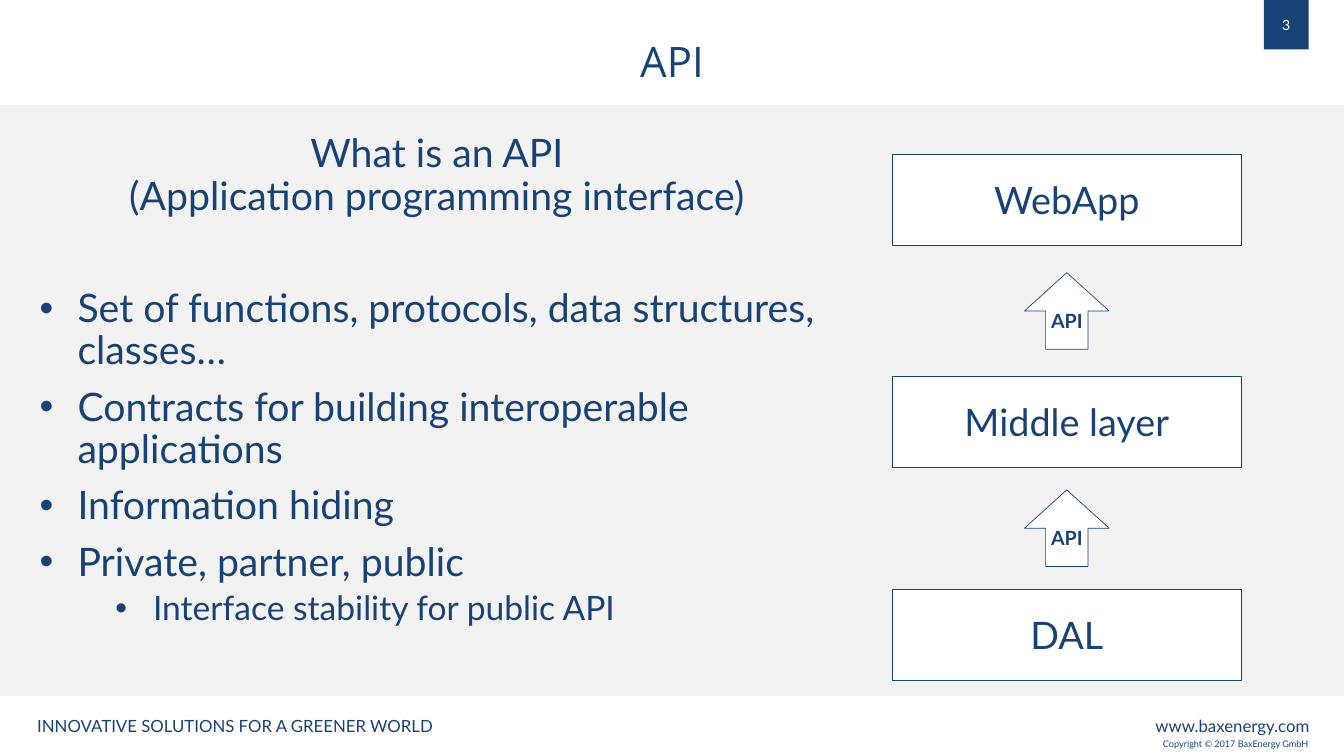
"""Build the API slide: a bulleted definition beside a stack of application layers."""
from dataclasses import dataclass
from typing import NamedTuple

import lxml.etree
import pptx
import pptx.dml.color
import pptx.enum.shapes
import pptx.enum.text
import pptx.oxml.ns
import pptx.util

ALIGN = pptx.enum.text.PP_ALIGN
MIDDLE = pptx.enum.text.MSO_ANCHOR.MIDDLE
SHAPE = pptx.enum.shapes.MSO_SHAPE
PIXELS_PER_INCH = 100


@dataclass(frozen=True)
class Theme:
    """Colours, fonts and type sizes."""
    navy: str = "194274"
    white: str = "FFFFFF"
    backdrop: str = "F2F2F2"
    font: str = "Lato"
    title_font: str = "Open Sans"
    title: int = 60
    body: int = 56
    sub_body: int = 48
    layer: int = 54
    arrow: int = 28
    footer: int = 24
    number: int = 20
    copyright: int = 13
    body_spacing: float = 0.9


class Box(NamedTuple):
    """Position and size in px."""
    left: int
    top: int
    width: int
    height: int


class Label(NamedTuple):
    """A single-paragraph text and its placement."""
    text: str
    box: Box
    size: int
    align: ALIGN
    color: str


class Point(NamedTuple):
    """A body paragraph; a zero indent means no bullet."""
    text: str
    indent: int
    space_before: int
    size: int
    level: int = 0


THEME = Theme()
SLIDE_WIDTH, SLIDE_HEIGHT = 2667, 1500
TITLE_BOX = Box(0, 0, SLIDE_WIDTH, 252)
BODY_BOX = Box(69, 261, 1596, 1088)
BULLET_HANG = 75
NUMBER_TAB = Box(2508, 0, 89, 98)
BANDS = (
    (Box(0, 0, SLIDE_WIDTH, 208), THEME.white),
    (Box(0, 1381, SLIDE_WIDTH, 119), THEME.white),
    (NUMBER_TAB, THEME.navy),
)
LABELS = (
    Label("www.baxenergy.com", Box(2263, 1415, 345, 50), THEME.footer, ALIGN.RIGHT, THEME.navy),
    Label("INNOVATIVE SOLUTIONS FOR A GREENER WORLD", Box(64, 1416, 820, 50),
          THEME.footer, ALIGN.LEFT, THEME.navy),
    Label("Copyright © 2017 BaxEnergy GmbH", Box(2298, 1461, 369, 32),
          THEME.copyright, ALIGN.LEFT, THEME.navy),
    Label("3", Box(2508, 27, 89, 44), THEME.number, ALIGN.CENTER, THEME.white),
)
POINTS = (
    Point("What is an API\v(Application programming interface)", 0, 0, THEME.body),
    Point("Set of functions, protocols, data structures, classes…", 75, 100, THEME.body),
    Point("Contracts for building interoperable applications", 75, 20, THEME.body),
    Point("Information hiding", 75, 20, THEME.body),
    Point("Private, partner, public", 75, 20, THEME.body),
    Point("Interface stability for public API", 225, 10, THEME.sub_body, 1),
)
LAYERS = (("WebApp", 306), ("Middle layer", 747), ("DAL", 1169))
ARROW_TOPS = (541, 972)


def px(length: int) -> int:
    """Turn px into EMU."""
    return pptx.util.Emu(length * pptx.util.Inches(1) // PIXELS_PER_INCH)


def rgb(color: str) -> pptx.dml.color.RGBColor:
    """Read a hexadecimal colour."""
    return pptx.dml.color.RGBColor.from_string(color)


def format_paragraph(paragraph, size: int, align: ALIGN, color: str = THEME.navy,
                     font: str = THEME.font, bold: bool = False) -> None:
    """Set the alignment of a paragraph and the font of its runs."""
    paragraph.alignment = align
    for run in paragraph.runs:
        run.font.name = font
        run.font.size = pptx.util.Pt(size)
        run.font.bold = bold
        run.font.color.rgb = rgb(color)


def add_block(slide, kind: SHAPE, box: Box, fill: str, outline: str | None = None):
    """Add a flat filled shape, outlined if a colour is given."""
    shape = slide.shapes.add_shape(kind, *map(px, box))
    shape.shadow.inherit = False
    shape.fill.solid()
    shape.fill.fore_color.rgb = rgb(fill)
    if outline:
        shape.line.color.rgb = rgb(outline)
        shape.line.width = pptx.util.Pt(1)
    else:
        shape.line.fill.background()
    return shape


def add_captioned_block(slide, kind: SHAPE, box: Box, text: str, size: int,
                        bold: bool = False) -> None:
    """Add an outlined white shape with a centred caption."""
    frame = add_block(slide, kind, box, THEME.white, THEME.navy).text_frame
    frame.margin_left = frame.margin_right = 0
    frame.vertical_anchor = MIDDLE
    frame.text = text
    format_paragraph(frame.paragraphs[0], size, ALIGN.CENTER, bold=bold)


def add_label(slide, label: Label) -> None:
    """Add a one-line text box."""
    frame = slide.shapes.add_textbox(*map(px, label.box)).text_frame
    frame.word_wrap = True
    frame.text = label.text
    format_paragraph(frame.paragraphs[0], label.size, label.align, label.color)


def add_bullet(paragraph, indent: int) -> None:
    """Give a paragraph a hanging round bullet."""
    properties = paragraph._p.get_or_add_pPr()
    properties.set("marL", str(px(indent)))
    properties.set("indent", str(-px(BULLET_HANG)))
    qualify = pptx.oxml.ns.qn
    lxml.etree.SubElement(properties, qualify("a:buFont"), typeface="Arial")
    lxml.etree.SubElement(properties, qualify("a:buChar"), char="•")


def add_body(slide) -> None:
    """Add the heading and its bulleted points."""
    frame = slide.shapes.add_textbox(*map(px, BODY_BOX)).text_frame
    frame.word_wrap = True
    for index, point in enumerate(POINTS):
        paragraph = frame.add_paragraph() if index else frame.paragraphs[0]
        paragraph.text = point.text
        paragraph.level = point.level
        if point.indent:
            add_bullet(paragraph, point.indent)
        paragraph.line_spacing = THEME.body_spacing
        if point.space_before:
            paragraph.space_before = pptx.util.Pt(point.space_before)
        format_paragraph(paragraph, point.size, ALIGN.LEFT if point.indent else ALIGN.CENTER)


def place_title(slide, text: str) -> None:
    """Fill the title placeholder and bring it in front of the header band."""
    title = slide.shapes.title
    title.left, title.top, title.width, title.height = map(px, TITLE_BOX)
    frame = title.text_frame
    frame.auto_size = pptx.enum.text.MSO_AUTO_SIZE.NONE
    frame.vertical_anchor = MIDDLE
    frame.text = text
    paragraph = frame.paragraphs[0]
    paragraph.line_spacing = THEME.body_spacing
    format_paragraph(paragraph, THEME.title, ALIGN.CENTER, font=THEME.title_font)
    slide.shapes.element.append(title.element)


def main() -> None:
    """Build and save the presentation."""
    presentation = pptx.Presentation()
    presentation.slide_width, presentation.slide_height = px(SLIDE_WIDTH), px(SLIDE_HEIGHT)
    slide = presentation.slides.add_slide(presentation.slide_layouts.get_by_name("Title Only"))
    slide.background.fill.solid()
    slide.background.fill.fore_color.rgb = rgb(THEME.backdrop)
    for box, fill in BANDS:
        add_block(slide, SHAPE.RECTANGLE, box, fill)
    for label in LABELS:
        add_label(slide, label)
    add_body(slide)
    place_title(slide, "API")
    for name, top in LAYERS:
        add_captioned_block(slide, SHAPE.RECTANGLE, Box(1770, top, 694, 180), name, THEME.layer)
    for top in ARROW_TOPS:
        add_captioned_block(slide, SHAPE.UP_ARROW, Box(2033, top, 168, 152), "API",
                            THEME.arrow, bold=True)
    presentation.save("out.pptx")


if __name__ == "__main__":
    main()
